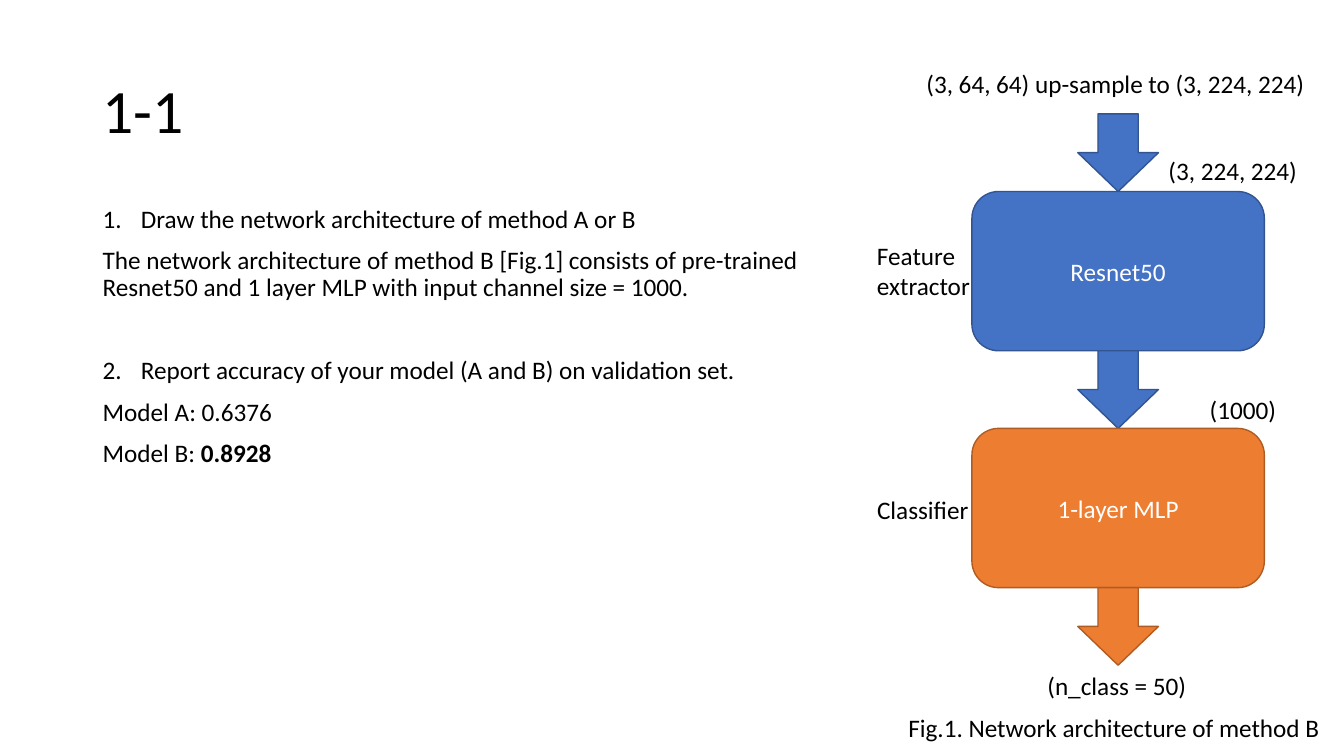
from pptx import Presentation
from pptx.dml.color import RGBColor
from pptx.enum.shapes import MSO_SHAPE
from pptx.enum.text import MSO_ANCHOR, MSO_AUTO_SIZE, PP_ALIGN
from pptx.util import Pt
from lxml import etree

PX = 9144  # 100 px to the inch
FONT = "Calibri"
BLACK = RGBColor(0x00, 0x00, 0x00)
WHITE = RGBColor(0xFF, 0xFF, 0xFF)
BLUE = RGBColor(0x44, 0x72, 0xC4)
DARK_BLUE = RGBColor(0x32, 0x54, 0x91)
ORANGE = RGBColor(0xED, 0x7D, 0x31)
DARK_ORANGE = RGBColor(0xAF, 0x5C, 0x24)
ROUNDED, ARROW = MSO_SHAPE.ROUNDED_RECTANGLE, MSO_SHAPE.DOWN_ARROW
TOP, MIDDLE = MSO_ANCHOR.TOP, MSO_ANCHOR.MIDDLE
LEFT, CENTER = PP_ALIGN.LEFT, PP_ALIGN.CENTER
FIT_SHAPE, NO_FIT = MSO_AUTO_SIZE.SHAPE_TO_FIT_TEXT, MSO_AUTO_SIZE.NONE

TITLE = "1-1"
# text, bold ending, list number, space before in points
ANSWERS = [
    ("Draw the network architecture of method A or B", "", 1, 10),
    ("The network architecture of method B [Fig.1] consists of pre-trained "
     "Resnet50 and 1 layer MLP with input channel size = 1000.", "", None, 10),
    ("Report accuracy of your model (A and B) on validation set.", "", 2, 40),
    ("Model A: 0.6376", "", None, 10),
    ("Model B: ", "0.8928", None, 10),
]
# kind, text, fill, line; stacked from top to bottom
NETWORK = [
    (ARROW, "", BLUE, DARK_BLUE),
    (ROUNDED, "Resnet50", BLUE, DARK_BLUE),
    (ARROW, "", BLUE, DARK_BLUE),
    (ROUNDED, "1-layer MLP", ORANGE, DARK_ORANGE),
    (ARROW, "", ORANGE, DARK_ORANGE),
]
NETWORK_CENTER, NETWORK_TOP = 1109, 113
SIZES = {ARROW: (80, 77), ROUNDED: (290, 158)}
# lines, left, top, width, height
LABELS = [
    (["(3, 64, 64) up-sample to (3, 224, 224)"], 909, 63, 400, 40),
    (["(3, 224, 224)"], 1149, 149, 149, 40),
    (["Feature", "extractor"], 860, 233, 113, 71),
    (["(1000)"], 1190, 386, 87, 40),
    (["Classifier"], 860, 485, 112, 40),
    (["(n_class = 50)"], 1029, 660, 160, 40),
    (["Fig.1. Network architecture of method B"], 891, 702, 435, 40),
]


def add_text(paragraph, text, size=18, color=BLACK, bold=False, align=LEFT):
    paragraph.alignment = align
    run = paragraph.add_run()
    run.text = text
    font = run.font
    font.name, font.size, font.bold = FONT, Pt(size), bold
    font.color.rgb = color


def add_box(slide, left, top, width, height, wrap=True, anchor=TOP):
    box = slide.shapes.add_textbox(*(n * PX for n in (left, top, width, height)))
    frame = box.text_frame
    frame.word_wrap = wrap
    frame.auto_size = NO_FIT if wrap else FIT_SHAPE
    frame.vertical_anchor = anchor
    return frame


def paragraphs_for(frame, items):
    """Yield each item with its own paragraph, using the first one present."""
    for index, item in enumerate(items):
        yield (frame.add_paragraph() if index else frame.paragraphs[0]), item


def number_paragraph(paragraph, number):
    properties = paragraph._p.get_or_add_pPr()
    properties.set("marL", str(38 * PX))
    properties.set("indent", str(-38 * PX))
    namespace = properties.nsmap["a"]
    bullet = etree.SubElement(properties, f"{{{namespace}}}buAutoNum")
    bullet.set("type", "arabicPeriod")
    bullet.set("startAt", str(number))


def add_network(slide):
    top = NETWORK_TOP
    for kind, text, fill, line in NETWORK:
        width, height = SIZES[kind]
        left = NETWORK_CENTER - width // 2
        shape = slide.shapes.add_shape(
            kind, left * PX, top * PX, width * PX, height * PX)
        shape.shadow.inherit = False
        shape.fill.solid()
        shape.fill.fore_color.rgb = fill
        shape.line.color.rgb = line
        shape.line.width = Pt(1)
        if text:
            shape.text_frame.vertical_anchor = MIDDLE
            add_text(shape.text_frame.paragraphs[0], text, color=WHITE, align=CENTER)
        top += height


def main():
    presentation = Presentation()
    presentation.slide_width, presentation.slide_height = 1333 * PX, 750 * PX
    slide = presentation.slides.add_slide(presentation.slide_layouts[6])

    title = add_box(slide, 92, 40, 1150, 145, anchor=MIDDLE).paragraphs[0]
    title.line_spacing = 0.9
    add_text(title, TITLE, size=44)

    body = add_box(slide, 92, 200, 760, 476)
    for paragraph, (text, ending, number, space) in paragraphs_for(body, ANSWERS):
        paragraph.line_spacing = 0.9
        paragraph.space_before = Pt(space)
        add_text(paragraph, text)
        if ending:
            add_text(paragraph, ending, bold=True)
        if number:
            number_paragraph(paragraph, number)

    add_network(slide)
    for lines, *place in LABELS:
        frame = add_box(slide, *place, wrap=False)
        for paragraph, line in paragraphs_for(frame, lines):
            add_text(paragraph, line)

    presentation.save("out.pptx")


if __name__ == "__main__":
    main()
